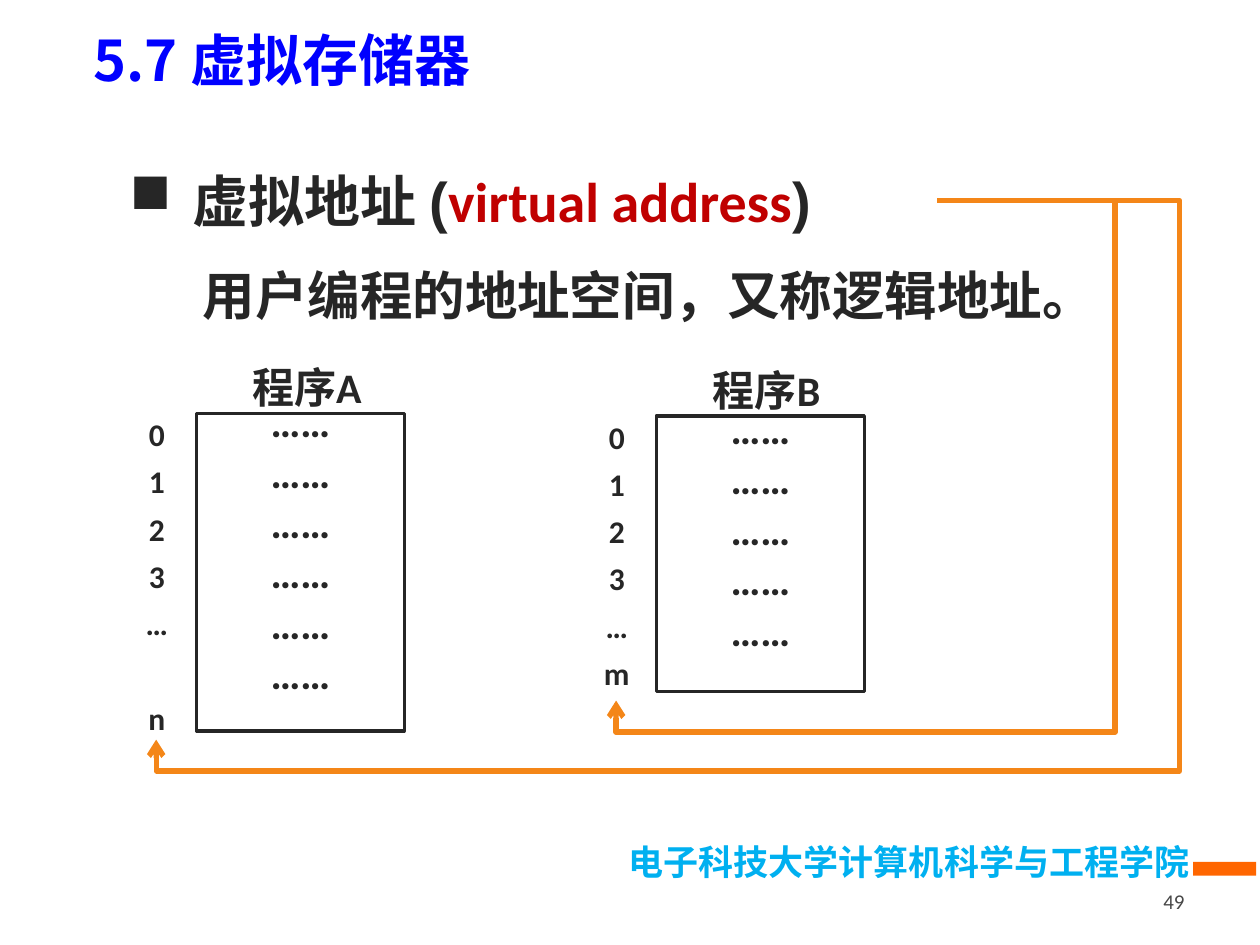
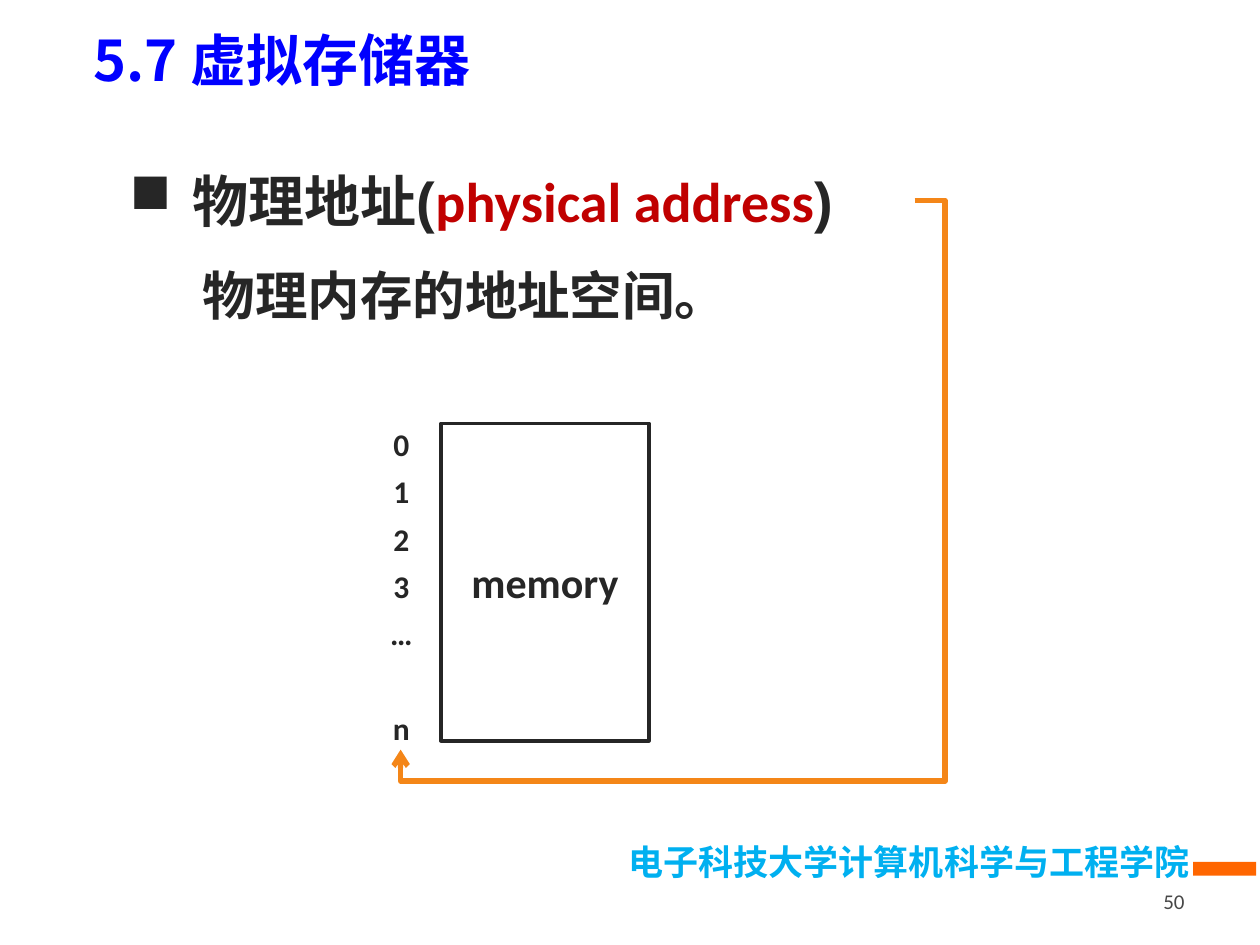
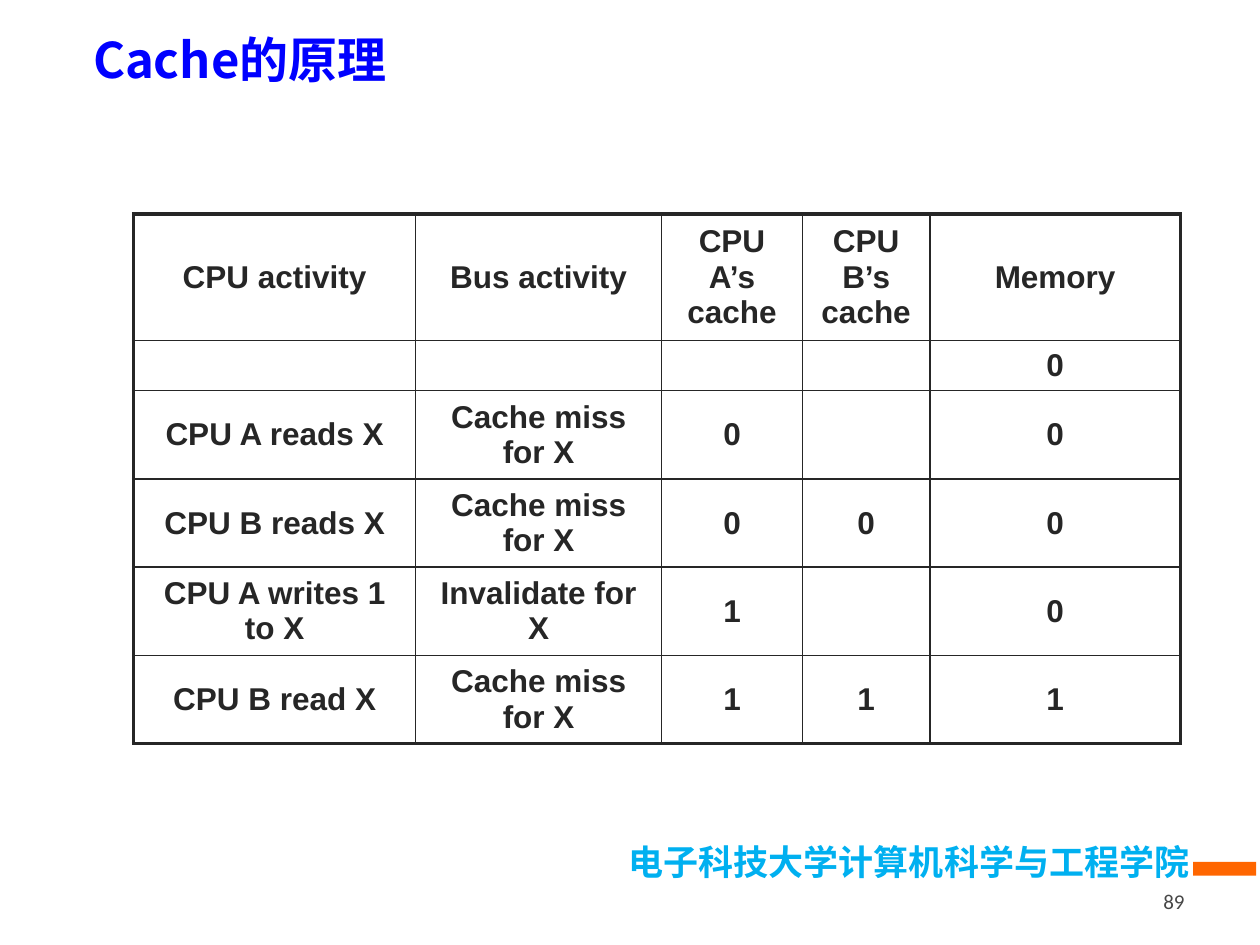
import pptx
import pptx.dml.color
import pptx.enum.shapes
import pptx.enum.text
import pptx.oxml
import pptx.oxml.ns
import pptx.util
import lxml.etree

Inches = pptx.util.Inches
Pt = pptx.util.Pt
RGBColor = pptx.dml.color.RGBColor
ALIGN = pptx.enum.text.PP_ALIGN
ANCHOR = pptx.enum.text.MSO_ANCHOR
SHAPE = pptx.enum.shapes.MSO_SHAPE
CONNECTOR = pptx.enum.shapes.MSO_CONNECTOR
qn = pptx.oxml.ns.qn

INK = RGBColor(0x26, 0x26, 0x26)
TITLE_BLUE = RGBColor(0x00, 0x00, 0xFF)
SCHOOL_BLUE = RGBColor(0x00, 0xB0, 0xF0)
BAR_ORANGE = RGBColor(0xFF, 0x66, 0x00)
ARROW_ORANGE = RGBColor(0xF4, 0x86, 0x18)
TERM_RED = RGBColor(0xC0, 0x00, 0x00)
PAGE_GREY = RGBColor(0x47, 0x47, 0x47)
HAN, ARIAL, CALIBRI = "Noto Sans CJK SC", "Arial", "Calibri"


def write(frame, lines, size, align=ALIGN.LEFT, spacing=None, bold=True):
    """Fill a frame; each line is a list of (text, font, colour) runs."""
    for number, line in enumerate(lines):
        paragraph = frame.add_paragraph() if number else frame.paragraphs[0]
        paragraph.alignment = align
        if spacing:
            paragraph.line_spacing = spacing
        for text, font, colour in line:
            run = paragraph.add_run()
            run.text = text
            for key, value in {"size": Pt(size), "bold": bold, "name": font}.items():
                setattr(run.font, key, value)
            run.font.color.rgb = colour
            east_asian = lxml.etree.SubElement(run.font._element, qn("a:ea"))
            east_asian.set("typeface", CALIBRI if font == CALIBRI else HAN)


def add_text(slide, box, lines, size, anchor=ANCHOR.TOP, wrap=True, margin=None, **style):
    frame = slide.shapes.add_textbox(*map(Inches, box)).text_frame
    frame.word_wrap = wrap
    frame.vertical_anchor = anchor
    if margin is not None:
        for side in ("left", "top", "right", "bottom"):
            setattr(frame, f"margin_{side}", Inches(margin))
    write(frame, lines, size, **style)
    return frame


presentation = pptx.Presentation()
presentation.slide_width, presentation.slide_height = Inches(10), Inches(7.5)

# Title, footer and page number of every slide
slides = []
for title, title_size, page in [("5.7 虚拟存储器", 32, "49"),
                                ("5.7 虚拟存储器", 32, "50"),
                                ("Cache的原理", 28, "89")]:
    slide = presentation.slides.add_slide(presentation.slide_layouts[6])
    add_text(slide, (0.82, 6.62, 8.72, 0.44),
             [[("电子科技大学计算机科学与工程学院", HAN, SCHOOL_BLUE)]], 20,
             wrap=False, align=ALIGN.RIGHT)
    bar = slide.shapes.add_shape(SHAPE.RECTANGLE, *map(Inches, (9.47, 6.84, 0.5, 0.11)))
    bar.shadow.inherit = False
    bar.fill.solid()
    bar.fill.fore_color.rgb = BAR_ORANGE
    bar.line.fill.background()
    add_text(slide, (0.64, 0.09, 8.96, 0.75), [[(title, HAN, TITLE_BLUE)]], title_size,
             anchor=ANCHOR.MIDDLE)
    add_text(slide, (7.17, 6.95, 2.33, 0.4), [[(page, CALIBRI, PAGE_GREY)]], 12,
             anchor=ANCHOR.MIDDLE, align=ALIGN.RIGHT, bold=False)
    slides.append(slide)

# Address spaces: each block is (caption, left, top, height, content lines,
# last address, gap in points above it, arrow start, arrow turn)
address_spaces = [
    ("虚拟地址 (", "virtual address", "用户编程的地址空间，又称逻辑地址。", [
        ("A", 1.56, 3.28, 2.52, ["……"] * 6, "n", 27, 7.44, 9.36),
        ("B", 5.21, 3.3, 2.19, ["……"] * 5, "m", 0, 7.44, 8.85)]),
    ("物理地址(", "physical address", "物理内存的地址空间。", [
        (None, 3.5, 3.36, 2.52, ["memory"], "n", 27, 7.26, 7.5)]),
]
ARROW_TOP = 1.59
for slide, (term, english, meaning, blocks) in zip(slides, address_spaces):
    heading = add_text(slide, (0.93, 1.27, 6.51, 0.64),
                       [[(term, ARIAL, INK), (english, CALIBRI, TERM_RED), (")", ARIAL, INK)]], 32)
    bullet = heading.paragraphs[0]._p.get_or_add_pPr()
    bullet.set("marL", str(Inches(0.5)))
    bullet.set("indent", str(Inches(-0.5)))
    lxml.etree.SubElement(bullet, qn("a:buChar")).set("char", "■")

    definition = add_text(slide, (1.11, 1.91, 8.43, 0.65), [[(meaning, ARIAL, INK)]], 30,
                          spacing=1.25)
    definition.paragraphs[0]._p.get_or_add_pPr().set("indent", str(Inches(0.4)))

    for caption, left, top, height, content, last, gap, start, turn in blocks:
        if caption:
            add_text(slide, (left - 0.03, top - 0.56, 1.81, 0.56),
                     [[("程序", ARIAL, INK), (caption, CALIBRI, INK)]], 24,
                     align=ALIGN.CENTER, spacing=1.25)
        memory = slide.shapes.add_shape(SHAPE.RECTANGLE,
                                        *map(Inches, (left, top, 1.65, height)))
        memory.shadow.inherit = False
        memory.fill.background()
        memory.line.color.rgb = INK
        memory.line.width = Pt(2)
        memory.text_frame.word_wrap = False
        memory.text_frame.vertical_anchor = ANCHOR.MIDDLE
        if len(content) > 1:
            memory.text_frame.margin_bottom = Inches(0.45)
        write(memory.text_frame, [[(line, CALIBRI, INK)] for line in content], 24,
              align=ALIGN.CENTER)

        addresses = add_text(slide, (left - 0.77, top - 0.06, 0.91, height + 0.13),
                             [[(address, CALIBRI, INK)] for address in [*"0123…", last]], 18,
                             margin=0, align=ALIGN.CENTER, spacing=1.25)
        addresses.paragraphs[-1].space_before = Pt(gap)

        tip_x, tip_y = left - 0.32, top + height + 0.07
        arrow = slide.shapes.add_connector(
            CONNECTOR.ELBOW, *map(Inches, (start, ARROW_TOP, tip_x, tip_y)))
        arrow.line.color.rgb = ARROW_ORANGE
        arrow.line.width = Pt(3)
        properties = arrow._element.spPr
        geometry = properties.find(qn("a:prstGeom"))
        geometry.set("prst", "bentConnector4")
        bends = geometry.find(qn("a:avLst"))
        if bends is None:
            bends = lxml.etree.SubElement(geometry, qn("a:avLst"))
        ratios = {"adj1": (start - turn) / (start - tip_x),
                  "adj2": 1 + 0.25 / (tip_y - ARROW_TOP)}
        for name, ratio in ratios.items():
            bend = lxml.etree.SubElement(bends, qn("a:gd"))
            bend.set("name", name)
            bend.set("fmla", f"val {round(ratio * 100000)}")
        lxml.etree.SubElement(arrow.line._get_or_add_ln(), qn("a:tailEnd")).set("type", "arrow")
        lxml.etree.SubElement(properties, qn("a:effectLst"))

# Cache coherence table
activity = [
    ["CPU activity", "Bus activity", "CPU A’s cache", "CPU B’s cache", "Memory"],
    ["", "", "", "", "0"],
    ["CPU A reads X", "Cache miss for X", "0", "", "0"],
    ["CPU B reads X", "Cache miss for X", "0", "0", "0"],
    ["CPU A writes 1 to X", "Invalidate for X", "1", "", "0"],
    ["CPU B read X", "Cache miss for X", "1", "1", "1"],
]
widths = [2.24, 1.95, 1.12, 1.01, 1.99]
heights = [0.94, 0.38] + [0.66] * 4
table = slides[2].shapes.add_table(
    len(heights), len(widths), Inches(1.06), Inches(1.7),
    Inches(sum(widths)), Inches(sum(heights))).table
table.first_row = table.horz_banding = False
for column, width in zip(table.columns, widths):
    column.width = Inches(width)
for row, height in zip(table.rows, heights):
    row.height = Inches(height)
for r, texts in enumerate(activity):
    for c, text in enumerate(texts):
        cell = table.cell(r, c)
        cell.vertical_anchor = ANCHOR.MIDDLE
        cell.fill.background()
        write(cell.text_frame, [[(text, ARIAL, INK)]], 18, align=ALIGN.CENTER)
        outer_edges = {"lnL": c == 0, "lnR": c == len(widths) - 1,
                       "lnT": r == 0, "lnB": r == len(heights) - 1}
        for position, (edge, outer) in enumerate(outer_edges.items()):
            border = lxml.etree.Element(qn(f"a:{edge}"))
            border.set("w", str(Pt(2.25 if outer else 1)))
            ink = lxml.etree.SubElement(border, qn("a:solidFill"))
            lxml.etree.SubElement(ink, qn("a:srgbClr")).set("val", str(INK))
            cell._tc.get_or_add_tcPr().insert(position, border)

presentation.save("out.pptx")
